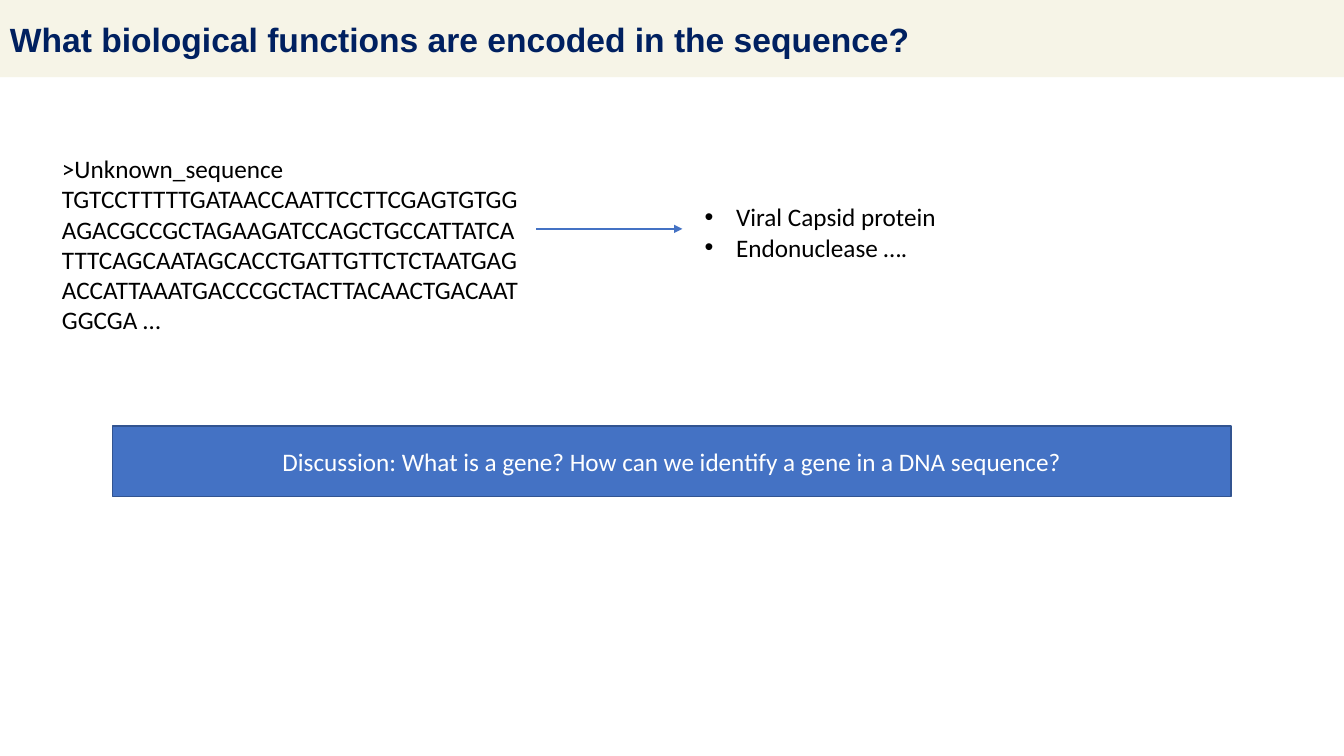
from lxml import etree
from pptx import Presentation
from pptx.dml.color import RGBColor
from pptx.enum import shapes, text
from pptx.oxml.ns import qn
from pptx.util import Pt

SEQUENCE = (
    "TGTCCTTTTTGATAACCAATTCCTTCGAGTGTGG"
    "AGACGCCGCTAGAAGATCCAGCTGCCATTATCA"
    "TTTCAGCAATAGCACCTGATTGTTCTCTAATGAG"
    "ACCATTAAATGACCCGCTACTTACAACTGACAAT"
    "GGCGA …"
)


def rgb(value):
    return RGBColor.from_string(value)


def write(tf, lines, color, align, size=18, font="Calibri", bold=False):
    tf.word_wrap = True
    tf.text = "\n".join(lines)
    for p in tf.paragraphs:
        p.alignment = align
        for r in p.runs:
            r.font.name = font
            r.font.size = Pt(size)
            r.font.bold = bold
            r.font.color.rgb = rgb(color)


def add_box(s, left, top, width, height, fill, line=None):
    sp = s.shapes.add_shape(shapes.MSO_SHAPE.RECTANGLE,
                            Pt(left), Pt(top), Pt(width), Pt(height))
    sp.shadow.inherit = False
    sp.fill.solid()
    sp.fill.fore_color.rgb = rgb(fill)
    if line:
        sp.line.color.rgb = rgb(line)
        sp.line.width = Pt(1)
    else:
        sp.line.fill.background()
    sp.text_frame.vertical_anchor = text.MSO_ANCHOR.MIDDLE
    return sp.text_frame


def add_text(s, left, top, width, height, lines, align):
    tf = s.shapes.add_textbox(Pt(left), Pt(top), Pt(width), Pt(height)).text_frame
    write(tf, lines, "000000", align)
    tf.auto_size = text.MSO_AUTO_SIZE.SHAPE_TO_FIT_TEXT
    return tf


def add_bullets(tf, indent):
    for p in tf.paragraphs:
        pPr = p._p.get_or_add_pPr()
        pPr.set("marL", str(Pt(indent)))
        pPr.set("indent", str(-Pt(indent)))
        etree.SubElement(pPr, qn("a:buFont")).set("typeface", "Arial")
        etree.SubElement(pPr, qn("a:buChar")).set("char", "•")


def add_arrow(s, x1, y1, x2, y2, color):
    cxn = s.shapes.add_connector(shapes.MSO_CONNECTOR.STRAIGHT,
                                 Pt(x1), Pt(y1), Pt(x2), Pt(y2))
    cxn.line.color.rgb = rgb(color)
    cxn.line.width = Pt(1.5)
    etree.SubElement(cxn.line._ln, qn("a:tailEnd")).set("type", "triangle")
    etree.SubElement(cxn._element.spPr, qn("a:effectLst"))


def main():
    prs = Presentation()
    prs.slide_width, prs.slide_height = Pt(960), Pt(540)
    s = prs.slides.add_slide(prs.slide_layouts[6])
    align = text.PP_ALIGN

    title = add_box(s, 0, 0, 960, 55.2, "F6F4E7")
    write(title, ["What biological functions are encoded in the sequence?"],
          "002060", align.LEFT, size=24, font="Arial", bold=True)

    add_text(s, 37.2, 106, 343.5, 138.2, [">Unknown_sequence", SEQUENCE], align.JUSTIFY)
    add_arrow(s, 383, 163.5, 487.5, 163.5, "4472C4")

    question = add_box(s, 80.5, 304.3, 798.8, 50.4, "4472C4", "325491")
    write(question,
          ["Discussion: What is a gene? How can we identify a gene in a DNA sequence?"],
          "FFFFFF", align.CENTER)

    functions = add_text(s, 496.2, 140.6, 316, 50.9,
                         ["Viral Capsid protein", "Endonuclease …."], align.LEFT)
    add_bullets(functions, 22.5)

    prs.save("out.pptx")


if __name__ == "__main__":
    main()
